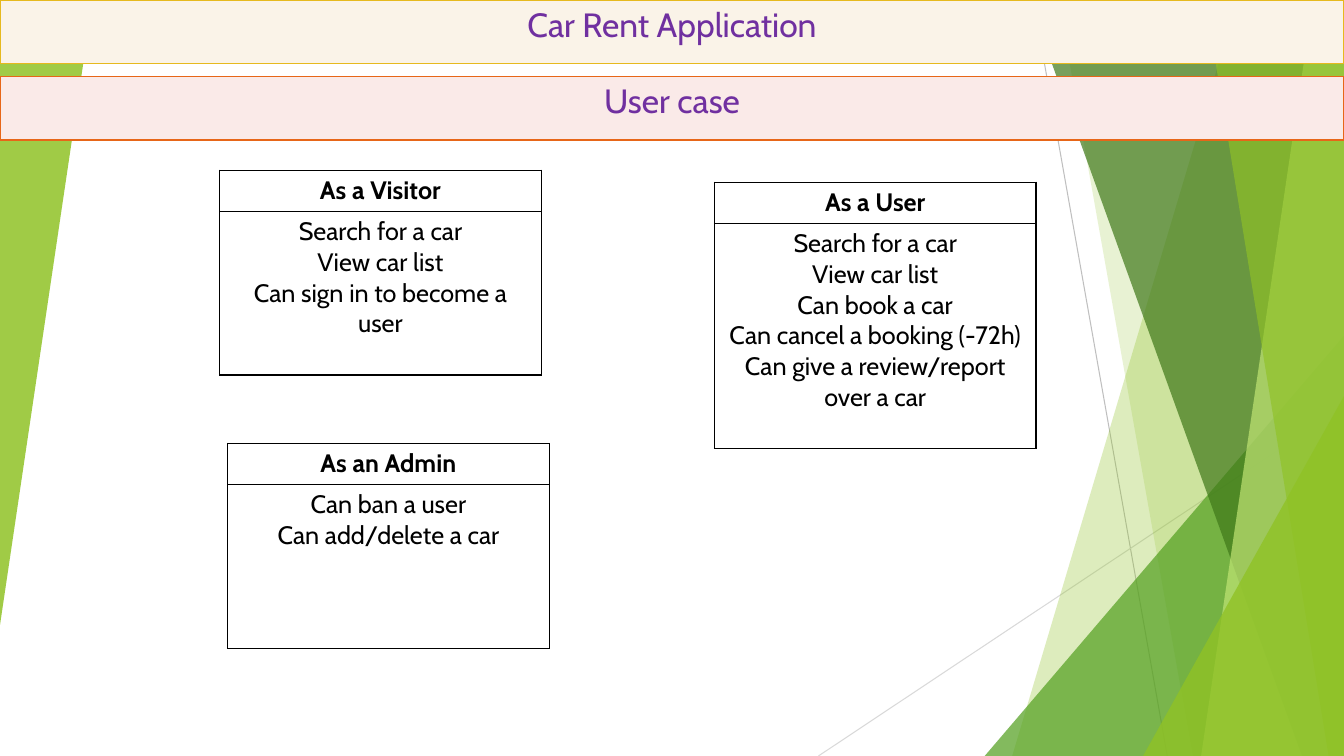
from lxml.etree import SubElement
from pptx import Presentation
from pptx.dml.color import RGBColor
from pptx.enum.shapes import MSO_CONNECTOR as Connector, MSO_SHAPE as Shape
from pptx.enum.text import MSO_ANCHOR as Anchor, PP_ALIGN as Align
from pptx.oxml.ns import qn
from pptx.util import Pt

WIDTH, HEIGHT = 960, 540
BLACK, PURPLE = "000000", "7030A0"
GREEN, LIME, MID_GREEN, DARK_GREEN = "90C226", "C0E474", "54A021", "3F7819"
BAND_HEIGHT = 45.4
CARD_WIDTH, CARD_HEAD = 229.7, 29.3
TITLE_FONT = {"name": "Cabin", "size": Pt(24), "bold": False}
HEAD_FONT = {"name": "Cabin", "size": Pt(18), "bold": True}
BODY_FONT = {**HEAD_FONT, "bold": False}


def color(value):
    return RGBColor.from_string(value)


def paint(facet, fill, opacity):
    """Give a facet a translucent fill and no outline."""
    facet.shadow.inherit = False
    facet.fill.solid()
    facet.fill.fore_color.rgb = color(fill)
    tint = facet.fill._xPr.find(qn("a:solidFill"))[0]
    SubElement(tint, qn("a:alpha"), val=str(opacity * 1000))
    facet.line.fill.background()


def draw_ray(slide, start, end, stroke):
    ray = slide.shapes.add_connector(
        Connector.STRAIGHT, *(Pt(v) for v in start + end))
    ray.line.color.rgb = color(stroke)
    ray.line.width = Pt(0.75)
    SubElement(ray._element.spPr, qn("a:effectLst"))


def draw_blade(slide, top_x, bottom_x, fill, opacity):
    """Full-height facet between a slanted left side and the right edge."""
    outline = slide.shapes.build_freeform(top_x, 0, scale=Pt(1))
    outline.add_line_segments(
        [(WIDTH, 0), (WIDTH, HEIGHT), (bottom_x, HEIGHT)], close=True)
    paint(outline.convert_to_shape(), fill, opacity)


def draw_wedge(slide, left, top, width, height, fill, opacity, rotation=0):
    wedge = slide.shapes.add_shape(
        Shape.ISOSCELES_TRIANGLE, Pt(left), Pt(top), Pt(width), Pt(height))
    wedge.adjustments[0] = 1
    wedge.rotation = rotation
    paint(wedge, fill, opacity)


def draw_backdrop(slide):
    draw_ray(slide, (738, 0), (833.8, HEIGHT), "BFBFBF")
    draw_ray(slide, (WIDTH, 290.2), (584.6, HEIGHT), "D9D9D9")
    # Right-hand facets, back to front
    draw_blade(slide, 884.2, 722.9, GREEN, 30)
    draw_blade(slide, 756, 851.8, GREEN, 20)
    draw_wedge(slide, 703.4, 239.8, 256.6, 300.2, MID_GREEN, 72)
    draw_blade(slide, 735.1, 929.5, DARK_GREEN, 70)
    draw_blade(slide, 938.2, 858.2, LIME, 70)
    draw_blade(slide, 861.1, 949, GREEN, 65)
    draw_wedge(slide, 816.5, 283, 143.5, 257, GREEN, 80)
    # Left-hand facet
    draw_wedge(slide, 0, 0, 66.2, 446.4, GREEN, 85, rotation=180)


def fill_cell(cell, lines, font, ink, border, fill=None):
    for side in ("lnL", "lnR", "lnT", "lnB"):
        edge = SubElement(cell._tc.get_or_add_tcPr(), qn(f"a:{side}"),
                          w=str(Pt(1)))
        SubElement(SubElement(edge, qn("a:solidFill")), qn("a:srgbClr"),
                   val=border)
    if fill:
        cell.fill.solid()
        cell.fill.fore_color.rgb = color(fill)
    else:
        cell.fill.background()
    cell.vertical_anchor = Anchor.TOP
    cell.text = "\n".join(lines)
    for paragraph in cell.text_frame.paragraphs:
        paragraph.alignment = Align.CENTER
        run_font = paragraph.runs[0].font
        for key, value in font.items():
            setattr(run_font, key, value)
        run_font.color.rgb = color(ink)


def add_column(slide, left, top, width, heights):
    """One-column table with the given row heights."""
    table = slide.shapes.add_table(
        len(heights), 1, Pt(left), Pt(top), Pt(width), Pt(sum(heights))).table
    table.first_row = table.horz_banding = False
    for row, height in zip(table.rows, heights):
        row.height = Pt(height)
    return table


def draw_band(slide, top, title, border, fill):
    band = add_column(slide, 0, top, WIDTH, [BAND_HEIGHT])
    fill_cell(band.cell(0, 0), [title], TITLE_FONT, PURPLE, border, fill)


def draw_role_card(slide, left, top, body_height, role, abilities):
    card = add_column(slide, left, top, CARD_WIDTH, [CARD_HEAD, body_height])
    fill_cell(card.cell(0, 0), [role], HEAD_FONT, BLACK, BLACK)
    fill_cell(card.cell(1, 0), abilities, BODY_FONT, BLACK, BLACK)


def main():
    deck = Presentation()
    deck.slide_width, deck.slide_height = Pt(WIDTH), Pt(HEIGHT)
    slide = deck.slides.add_slide(deck.slide_layouts[6])
    draw_backdrop(slide)

    # Title bands
    draw_band(slide, 0, "Car Rent Application", "E6B91E", "FAF3E8")
    draw_band(slide, 54.6, "User case", "E76618", "FAEAE8")

    # Role cards
    draw_role_card(slide, 156.9, 121.6, 117, "As a Visitor", [
        "Search for a car", "View car list", "Can sign in to become a user"])
    draw_role_card(slide, 510.3, 130.1, 161, "As a User", [
        "Search for a car", "View car list", "Can book a car",
        "Can cancel a booking (-72h)", "Can give a review/report over a car"])
    draw_role_card(slide, 162.6, 316.8, 117, "As an Admin", [
        "Can ban a user", "Can add/delete a car"])

    deck.save("out.pptx")


if __name__ == "__main__":
    main()
